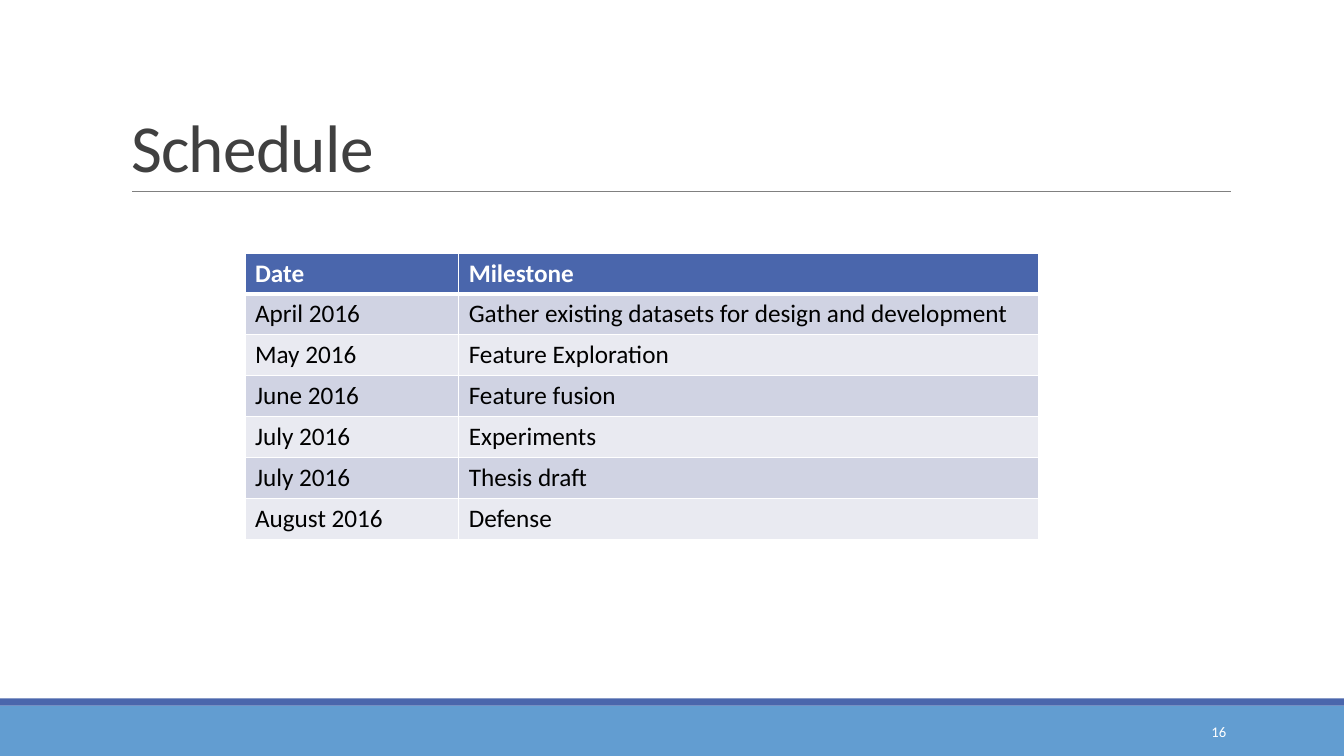
from pptx import Presentation
from pptx.dml.color import RGBColor
from pptx.enum.shapes import MSO_CONNECTOR, MSO_SHAPE
from pptx.enum.text import MSO_ANCHOR, PP_ALIGN
from pptx.oxml import parse_xml
from pptx.oxml.ns import nsdecls
from pptx.util import Inches, Pt

COLORS = {
    "band": "629DD1",
    "accent": "4A66AC",
    "rule": "808080",
    "title": "404040",
    "odd_row": "D0D3E3",
    "even_row": "E9EAF1",
    "black": "000000",
    "white": "FFFFFF",
}


def add_run(paragraph, text, size, color, bold=False):
    run = paragraph.add_run()
    run.text = text
    run.font.name = "Calibri"
    run.font.size = Pt(size)
    run.font.bold = bold
    run.font.color.rgb = RGBColor.from_string(COLORS[color])
    return run


def add_borders(cell, bottom_width):
    properties = cell._tc.get_or_add_tcPr()
    for side, width in (("L", 1), ("R", 1), ("T", 1), ("B", bottom_width)):
        properties.append(parse_xml(
            f'<a:ln{side} {nsdecls("a")} w="{Pt(width)}"><a:solidFill>'
            f'<a:srgbClr val="{COLORS["white"]}"/></a:solidFill></a:ln{side}>'))


presentation = Presentation()
presentation.slide_width = Inches(13.33)
presentation.slide_height = Inches(7.5)
slide = presentation.slides.add_slide(presentation.slide_layouts[5])

# Footer bands
for top, height, color in ((7, 0.5, "band"), (6.93, 0.07, "accent")):
    band = slide.shapes.add_shape(
        MSO_SHAPE.RECTANGLE, 0, Inches(top), presentation.slide_width, Inches(height))
    band.shadow.inherit = False
    band.fill.solid()
    band.fill.fore_color.rgb = RGBColor.from_string(COLORS[color])
    band.line.fill.background()

# Title and the rule below it
title = slide.shapes.title
title.left, title.top = Inches(1.2), Inches(0.31)
title.width, title.height = Inches(11), Inches(1.59)
title.text_frame.word_wrap = True
title.text_frame.vertical_anchor = MSO_ANCHOR.BOTTOM
paragraph = title.text_frame.paragraphs[0]
paragraph.alignment = PP_ALIGN.LEFT
paragraph.line_spacing = 0.85
title_run = add_run(paragraph, "Schedule", 48, "title")
title_run.font._element.set("spc", "-50")

rule = slide.shapes.add_connector(
    MSO_CONNECTOR.STRAIGHT, Inches(1.31), Inches(1.9), Inches(12.21), Inches(1.9))
rule.line.color.rgb = RGBColor.from_string(COLORS["rule"])
rule.line.width = Pt(0.5)
rule._element.spPr.append(parse_xml(f'<a:effectLst {nsdecls("a")}/>'))

# Schedule table
schedule = [
    ("Date", "Milestone"),
    ("April 2016", "Gather existing datasets for design and development"),
    ("May 2016", "Feature Exploration"),
    ("June 2016", "Feature fusion"),
    ("July 2016", "Experiments"),
    ("July 2016", "Thesis draft"),
    ("August 2016", "Defense"),
]
row_height = Inches(0.4)
table = slide.shapes.add_table(
    len(schedule), 2, Inches(2.43), Inches(2.51),
    Inches(7.87), row_height * len(schedule)).table
table.columns[0].width = Inches(2.12)
table.columns[1].width = Inches(5.75)

for row_index, entries in enumerate(schedule):
    table.rows[row_index].height = row_height
    is_header = row_index == 0
    if is_header:
        fill_color = "accent"
    else:
        fill_color = "odd_row" if row_index % 2 else "even_row"
    for column_index, text in enumerate(entries):
        cell = table.cell(row_index, column_index)
        add_borders(cell, 3 if is_header else 1)
        cell.fill.solid()
        cell.fill.fore_color.rgb = RGBColor.from_string(COLORS[fill_color])
        add_run(cell.text_frame.paragraphs[0], text, 18,
                "white" if is_header else "black", is_header)

# Slide number
number_box = slide.shapes.add_textbox(
    Inches(10.83), Inches(7.06), Inches(1.43), Inches(0.4))
number_box.text_frame.word_wrap = True
number_box.text_frame.vertical_anchor = MSO_ANCHOR.MIDDLE
paragraph = number_box.text_frame.paragraphs[0]
paragraph.alignment = PP_ALIGN.RIGHT
add_run(paragraph, "16", 10.5, "white")

presentation.save("out.pptx")
